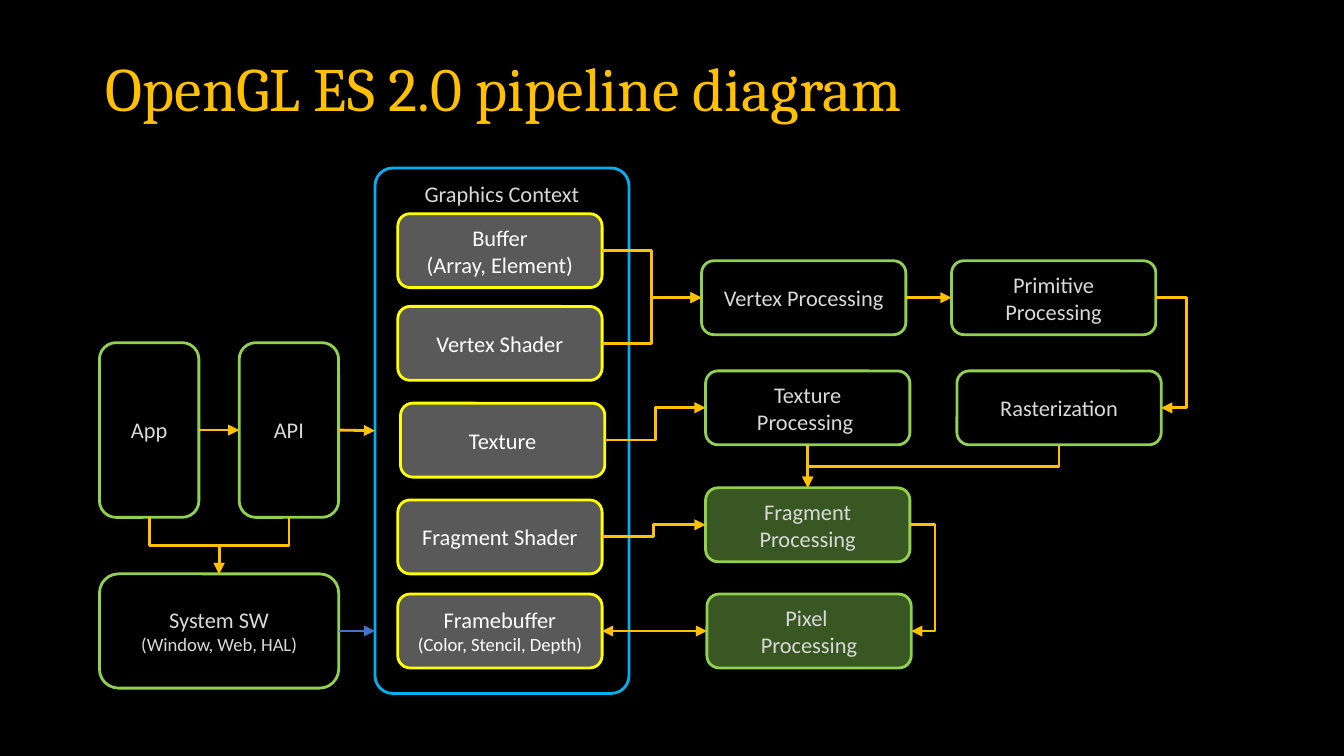
from lxml.etree import SubElement
from pptx import Presentation
from pptx.dml.color import RGBColor
from pptx.enum.shapes import MSO_CONNECTOR, MSO_SHAPE
from pptx.enum.text import MSO_ANCHOR, PP_ALIGN
from pptx.oxml.ns import qn
from pptx.util import Inches, Pt

TITLE = "OpenGL ES 2.0 pipeline diagram"
GOLD, BLUE = "FFC000", "4472C4"
TOP, LEFT, BOTTOM, RIGHT = range(4)

STYLES = {
    "host": {"fill": "000000", "line": "92D050", "text": "D9D9D9"},
    "context": {"fill": "000000", "line": "00B0F0", "text": "D9D9D9"},
    "state": {"fill": "595959", "line": "FFFF00", "text": "FFFFFF"},
    "stage": {"fill": "385723", "line": "92D050", "text": "D9D9D9"},
}
STEP_SIZE = (1.52, 0.55)
HOST_SIZE = (0.74, 1.3)
BOXES = {
    "api": ("host", 1.78, 2.55, HOST_SIZE, [("API", 12)]),
    "app": ("host", 0.74, 2.55, HOST_SIZE, [("App", 12)]),
    "system": ("host", 0.74, 4.27, (1.78, 0.85), [("System SW", 12), ("(Window, Web, HAL)", 10)]),
    "context": ("context", 2.79, 1.25, (1.89, 3.91), [("Graphics Context", 12)]),
    "buffer": ("state", 2.96, 1.59, STEP_SIZE, [("Buffer\n(Array, Element)", 12)]),
    "framebuffer": ("state", 2.96, 4.42, STEP_SIZE, [("Framebuffer", 12), ("(Color, Stencil, Depth)", 10)]),
    "texture": ("state", 2.98, 3, STEP_SIZE, [("Texture", 12)]),
    "vertex shader": ("state", 2.96, 2.28, STEP_SIZE, [("Vertex Shader", 12)]),
    "fragment shader": ("state", 2.96, 3.72, STEP_SIZE, [("Fragment Shader", 12)]),
    "vertex": ("host", 5.22, 1.94, STEP_SIZE, [("Vertex Processing", 12)]),
    "primitive": ("host", 7.08, 1.94, STEP_SIZE, [("Primitive Processing", 12)]),
    "raster": ("host", 7.12, 2.76, STEP_SIZE, [("Rasterization", 12)]),
    "fragment": ("stage", 5.25, 3.63, STEP_SIZE, [("Fragment Processing", 12)]),
    "pixel": ("stage", 5.26, 4.42, STEP_SIZE, [("Pixel ", 12), ("Processing", 12)]),
    "texturing": ("host", 5.25, 2.76, STEP_SIZE, [("Texture", 12), ("Processing ", 12)]),
}
STRAIGHT_LINKS = [
    ("app", RIGHT, "api", LEFT),
    ("api", RIGHT, "context", LEFT),
    ("vertex", RIGHT, "primitive", LEFT),
    ("texturing", BOTTOM, "fragment", TOP),
    ("pixel", LEFT, "framebuffer", RIGHT),
]
SIDEWAYS_LINKS = [
    ("buffer", RIGHT, "vertex", LEFT, None),
    ("vertex shader", RIGHT, "vertex", LEFT, None),
    ("texture", RIGHT, "texturing", LEFT, None),
    ("fragment shader", RIGHT, "fragment", LEFT, None),
    ("primitive", RIGHT, "raster", RIGHT, 8.83),
    ("fragment", RIGHT, "pixel", RIGHT, 6.96),
]
DOWNWARD_LINKS = [
    ("app", BOTTOM, "system", TOP),
    ("api", BOTTOM, "system", TOP),
    ("raster", BOTTOM, "fragment", TOP),
]
FRAME_FORMAT = {"word_wrap": True, "vertical_anchor": MSO_ANCHOR.MIDDLE}


def rgb(value):
    return RGBColor.from_string(value)


def apply(target, values):
    for name, value in values.items():
        setattr(target, name, value)


def write(frame, lines, font, color, **paragraph_format):
    for index, (text, size) in enumerate(lines):
        paragraph = frame.paragraphs[0] if index == 0 else frame.add_paragraph()
        paragraph.text = text
        apply(paragraph, paragraph_format)
        for run in paragraph.runs:
            apply(run.font, {"name": font, "size": Pt(size)})
            run.font.color.rgb = rgb(color)


def add_box(slide, style, left, top, size, lines):
    colors = STYLES[style]
    box = slide.shapes.add_shape(
        MSO_SHAPE.ROUNDED_RECTANGLE, *map(Inches, (left, top, *size)))
    box.shadow.inherit = False
    box.fill.solid()
    box.fill.fore_color.rgb = rgb(colors["fill"])
    box.line.color.rgb = rgb(colors["line"])
    box.line.width = Pt(1.5)
    apply(box.text_frame, FRAME_FORMAT)
    if style == "context":
        box.adjustments[0] = 0.07
        box.text_frame.vertical_anchor = MSO_ANCHOR.TOP
    write(box.text_frame, lines, "Calibri", colors["text"], alignment=PP_ALIGN.CENTER)
    return box


def add_arrow(slide, kind, start, start_side, end=None, end_side=None,
              color=GOLD, ends=("tailEnd",)):
    arrow = slide.shapes.add_connector(kind, 0, 0, 0, 0)
    arrow.begin_connect(start, start_side)
    if end is not None:
        arrow.end_connect(end, end_side)
    arrow.line.color.rgb = rgb(color)
    arrow.line.width = Pt(1.5)
    for name in ends:
        SubElement(arrow.line._get_or_add_ln(), qn("a:" + name), type="triangle")
    SubElement(arrow._element.spPr, qn("a:effectLst"))
    return arrow


def bend_at(arrow, x):
    ratio = (Inches(x) - arrow.begin_x) / (arrow.end_x - arrow.begin_x)
    guides = arrow._element.spPr.find(qn("a:prstGeom")).find(qn("a:avLst"))
    SubElement(guides, qn("a:gd"), name="adj1", fmla=f"val {round(ratio * 100000)}")


def turn_down(arrow):
    heads_right = arrow.end_x > arrow.begin_x
    left, top, width, height = arrow.left, arrow.top, arrow.width, arrow.height
    apply(arrow, {
        "left": left + (width - height) // 2,
        "top": top + (height - width) // 2,
        "width": height,
        "height": width,
    })
    transform = arrow._element.spPr.find(qn("a:xfrm"))
    transform.set("rot", "16200000" if heads_right else "5400000")
    transform.set("flipH", "1" if heads_right else "0")


def main():
    deck = Presentation()
    apply(deck, {"slide_width": Inches(10), "slide_height": Inches(10) * 9 // 16})
    slide = deck.slides.add_slide(deck.slide_layouts[6])
    slide.background.fill.solid()
    slide.background.fill.fore_color.rgb = rgb("000000")

    heading = slide.shapes.add_textbox(*map(Inches, (0.69, 0.3, 8.62, 0.76)))
    apply(heading.text_frame, FRAME_FORMAT)
    write(heading.text_frame, [(TITLE, 33)], "Cambria", GOLD, line_spacing=0.9)

    boxes = {key: add_box(slide, *box) for key, box in BOXES.items()}

    for start, start_side, end, end_side in STRAIGHT_LINKS:
        ends = ("headEnd", "tailEnd") if end == "framebuffer" else ("tailEnd",)
        add_arrow(slide, MSO_CONNECTOR.STRAIGHT, boxes[start], start_side,
                  boxes[end], end_side, ends=ends)
    for start, start_side, end, end_side, bend in SIDEWAYS_LINKS:
        arrow = add_arrow(slide, MSO_CONNECTOR.ELBOW, boxes[start], start_side,
                          boxes[end], end_side)
        if bend:
            bend_at(arrow, bend)
    for start, start_side, end, end_side in DOWNWARD_LINKS:
        turn_down(add_arrow(slide, MSO_CONNECTOR.ELBOW, boxes[start], start_side,
                            boxes[end], end_side))

    system_arrow = add_arrow(slide, MSO_CONNECTOR.STRAIGHT, boxes["system"], RIGHT, color=BLUE)
    apply(system_arrow, {"end_x": boxes["context"].left, "end_y": system_arrow.begin_y})

    deck.save("out.pptx")


if __name__ == "__main__":
    main()
